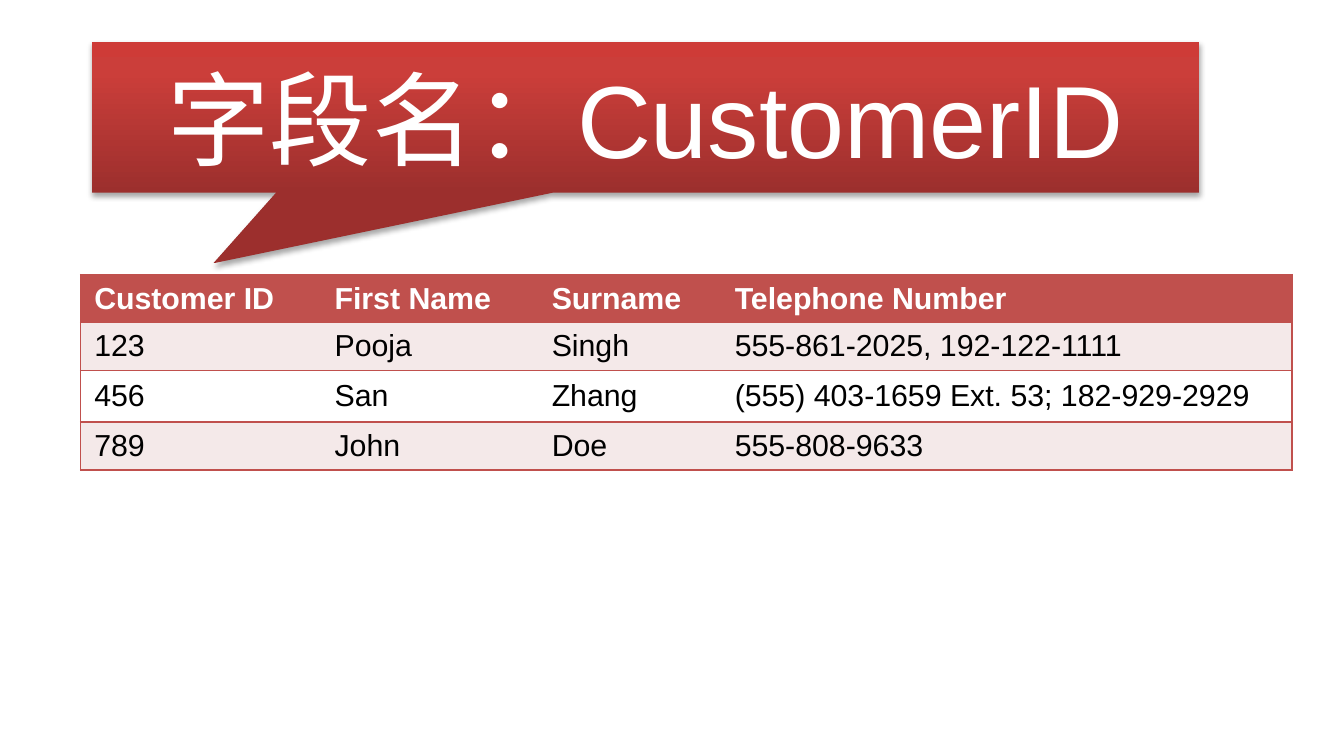
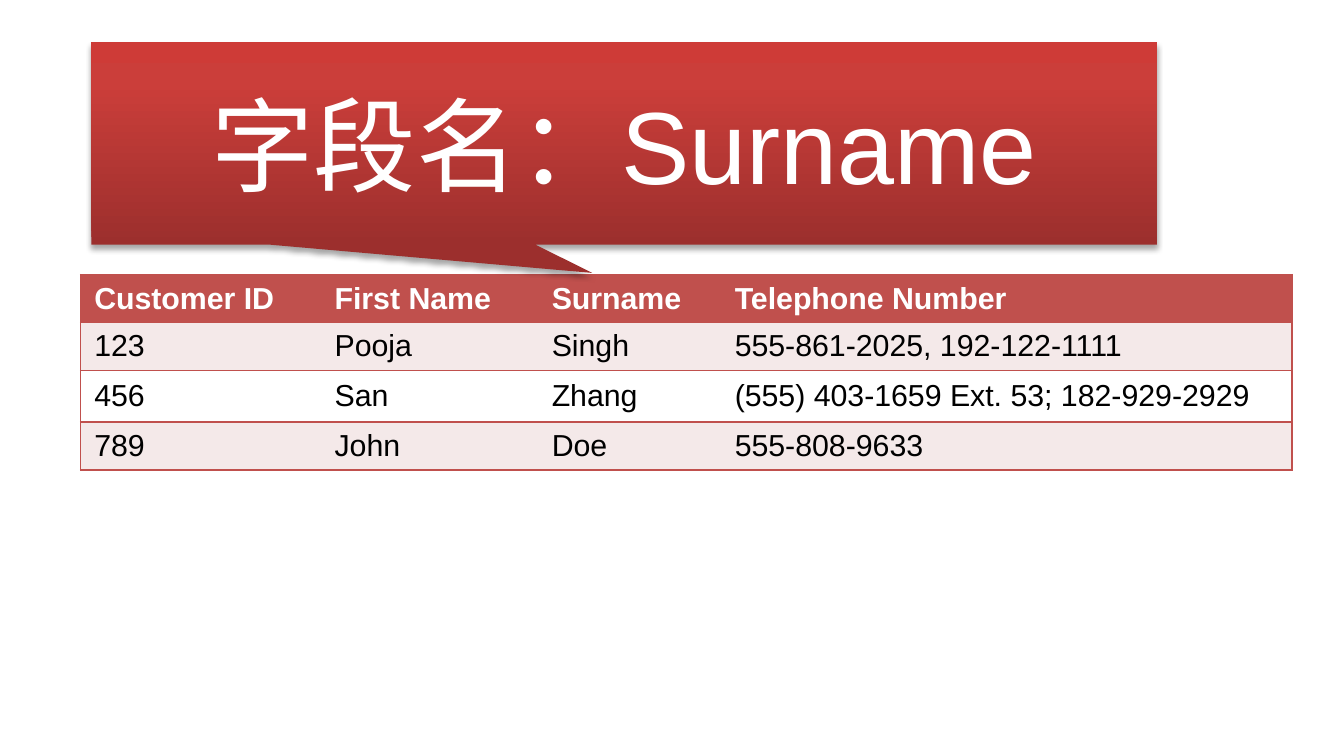
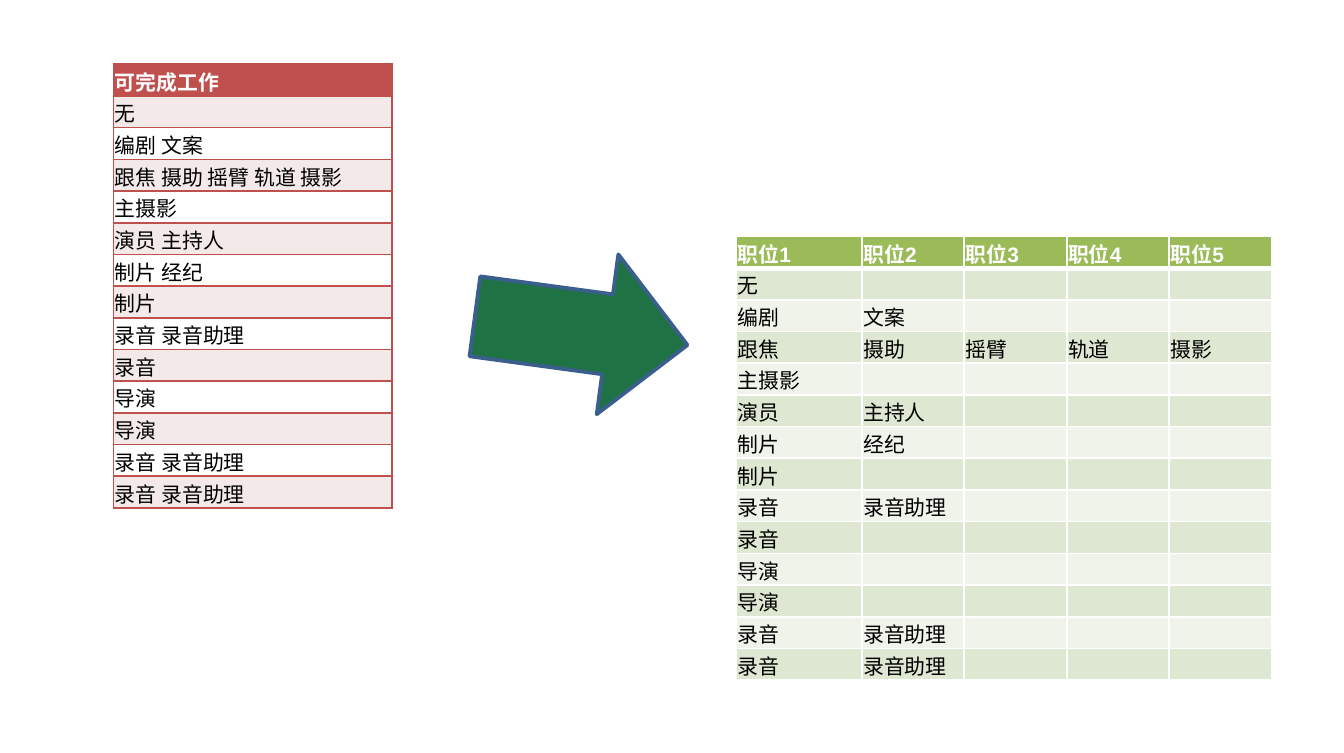
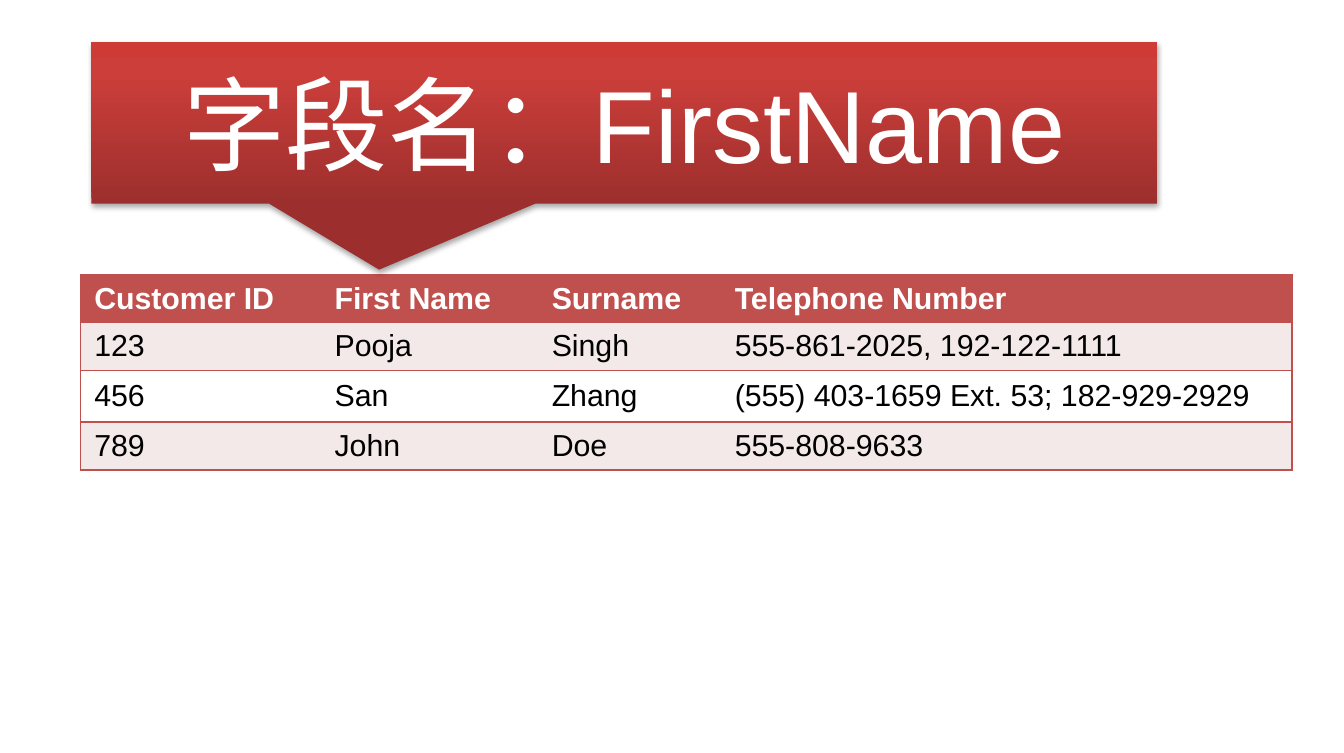
from lxml import etree
from pptx import Presentation
from pptx.dml.color import RGBColor
from pptx.enum.shapes import MSO_SHAPE as Preset
from pptx.enum.text import MSO_ANCHOR as Anchor, PP_ALIGN as Align
from pptx.oxml.ns import qn
from pptx.util import Inches, Pt

FONT = "Arial"
WHITE = "FFFFFF"
BLACK = "000000"
NO_STYLE = "{2D5ABB26-0587-4C30-8999-92F81FD0307C}"
RED = {"header": "C0504D", "bands": ("F4E9E9", WHITE), "line": "C0504D",
       "inner_columns": False, "header_rule": 1}
GREEN = {"header": "9BBB59", "bands": ("DEE7D1", "EFF3EA"), "line": WHITE,
         "inner_columns": True, "header_rule": 3}
CALLOUT_STOPS = ((0, "9C2F2D"), (80, "CB3E3A"), (100, "CE3B37"))

CUSTOMERS = [
    ["Customer ID", "First Name", "Surname", "Telephone Number"],
    ["123", "Pooja", "Singh", "555-861-2025, 192-122-1111"],
    ["456", "San", "Zhang", "(555) 403-1659 Ext. 53; 182-929-2929"],
    ["789", "John", "Doe", "555-808-9633"],
]
JOBS = ["无", "编剧 文案", "跟焦 摄助 摇臂 轨道 摄影", "主摄影", "演员 主持人",
        "制片 经纪", "制片", "录音 录音助理", "录音", "导演", "导演",
        "录音 录音助理", "录音 录音助理"]
JOB_COLUMNS = 5


def rgb(value):
    return RGBColor.from_string(value)


def add_child(parent, tag, **attributes):
    child = etree.SubElement(parent, qn(tag))
    for name, value in attributes.items():
        child.set(name, str(value))
    return child


def format_font(font, **values):
    font.color.rgb = rgb(values.pop("color"))
    for name, value in values.items():
        setattr(font, name, value)


def add_borders(cell, color, widths):
    properties = cell._tc.get_or_add_tcPr()
    for side in "LRTB":
        width = widths[side]
        line = add_child(properties, f"a:ln{side}", w=Pt(width))
        if width:
            fill = add_child(line, "a:solidFill")
            add_child(fill, "a:srgbClr", val=color)
        else:
            add_child(line, "a:noFill")


def fill_cell(cell, text, size, margins, color, bold):
    cell.vertical_anchor = Anchor.MIDDLE
    for side, margin in margins.items():
        setattr(cell, f"margin_{side}", Inches(margin))
    paragraph = cell.text_frame.paragraphs[0]
    if text:
        run = paragraph.add_run()
        run.text = text
        format_font(run.font, name=FONT, size=Pt(size), bold=bold, color=color)
    else:
        add_child(paragraph._p, "a:endParaRPr", sz=size * 100)


def add_grid(slide, rows, left, top, widths, heights, theme, size, margins):
    frame = slide.shapes.add_table(
        len(rows), len(widths), Inches(left), Inches(top),
        Inches(sum(widths)), Inches(sum(heights)))
    table = frame.table
    table._tbl.tblPr.find(qn("a:tableStyleId")).text = NO_STYLE
    for column, width in zip(table.columns, widths):
        column.width = Inches(width)
    for row, height in zip(table.rows, heights):
        row.height = Inches(height)
    last = len(widths) - 1
    rule = theme["header_rule"]
    inner = theme["inner_columns"]
    for r, values in enumerate(rows):
        header = r == 0
        for c, text in enumerate(values):
            cell = table.cell(r, c)
            add_borders(cell, theme["line"], {
                "L": int(inner or c == 0), "R": int(inner or c == last),
                "T": rule if r == 1 else 1, "B": rule if header else 1})
            cell.fill.solid()
            cell.fill.fore_color.rgb = rgb(
                theme["header"] if header else theme["bands"][(r - 1) % 2])
            fill_cell(cell, text, size, margins, WHITE if header else BLACK, header)


def add_callout(slide, field, width, height, tip):
    shape = slide.shapes.add_shape(
        Preset.RECTANGULAR_CALLOUT, Inches(0.67), Inches(0.31),
        Inches(width), Inches(height))
    for index, value in enumerate(tip):
        shape.adjustments[index] = value
    shape.line.fill.background()
    shape.fill.gradient()
    shape.fill.gradient_angle = 90
    properties = shape._element.spPr
    stops = properties.find(qn("a:gradFill")).find(qn("a:gsLst"))
    for stop in list(stops):
        stops.remove(stop)
    for position, color in CALLOUT_STOPS:
        stop = add_child(stops, "a:gs", pos=position * 1000)
        add_child(stop, "a:srgbClr", val=color)
    shape.shadow.inherit = False
    shadow = add_child(properties.find(qn("a:effectLst")), "a:outerShdw",
                       blurRad=Pt(3.1), dist=Pt(1.8), dir=90 * 60000, rotWithShape=0)
    add_child(add_child(shadow, "a:srgbClr", val=BLACK), "a:alpha", val=35000)
    shape.text_frame.vertical_anchor = Anchor.MIDDLE
    paragraph = shape.text_frame.paragraphs[0]
    paragraph.alignment = Align.CENTER
    run = paragraph.add_run()
    run.text = f"字段名：{field}"
    format_font(run.font, name=FONT, size=Pt(54), color=WHITE)


def add_arrow(slide):
    arrow = slide.shapes.add_shape(
        Preset.RIGHT_ARROW, Inches(3.47), Inches(1.83), Inches(1.57), Inches(1.18))
    arrow.rotation = 7.7
    arrow.shadow.inherit = False
    arrow.fill.solid()
    arrow.fill.fore_color.rgb = rgb("1F7244")
    arrow.line.color.rgb = rgb("3A5F8C")
    arrow.line.width = Pt(2)


def new_slide(presentation):
    return presentation.slides.add_slide(presentation.slide_layouts[6])


def field_slide(presentation, field, width, height, tip):
    slide = new_slide(presentation)
    add_grid(slide, CUSTOMERS, 0.59, 2.01, [1.76, 1.59, 1.34, 4.18],
             [0.35, 0.35, 0.38, 0.35], RED, 16, {})
    add_callout(slide, field, width, height, tip)


def jobs_slide(presentation):
    slide = new_slide(presentation)
    combined = [["可完成工作"]] + [[job] for job in JOBS]
    separate = [[f"职位{number}" for number in range(1, JOB_COLUMNS + 1)]]
    for job in JOBS:
        parts = job.split()
        separate.append(parts + [""] * (JOB_COLUMNS - len(parts)))
    heights = [0.23] * len(combined)
    margins = {"left": 0.01, "top": 0.01, "right": 0.01, "bottom": 0}
    add_grid(slide, combined, 0.83, 0.47, [2.04], heights, RED, 11, margins)
    add_grid(slide, separate, 5.39, 1.73, [0.92] + [0.75] * 4, heights,
             GREEN, 11, margins)
    add_arrow(slide)


def main():
    presentation = Presentation()
    presentation.slide_width = Inches(9.84)
    presentation.slide_height = Inches(5.51)
    field_slide(presentation, "CustomerID", 8.11, 1.1, (-0.39, 0.97))
    field_slide(presentation, "Surname", 7.8, 1.48, (-0.03, 0.64))
    jobs_slide(presentation)
    field_slide(presentation, "FirstName", 7.8, 1.18, (-0.23, 0.91))
    presentation.save("out.pptx")


if __name__ == "__main__":
    main()
